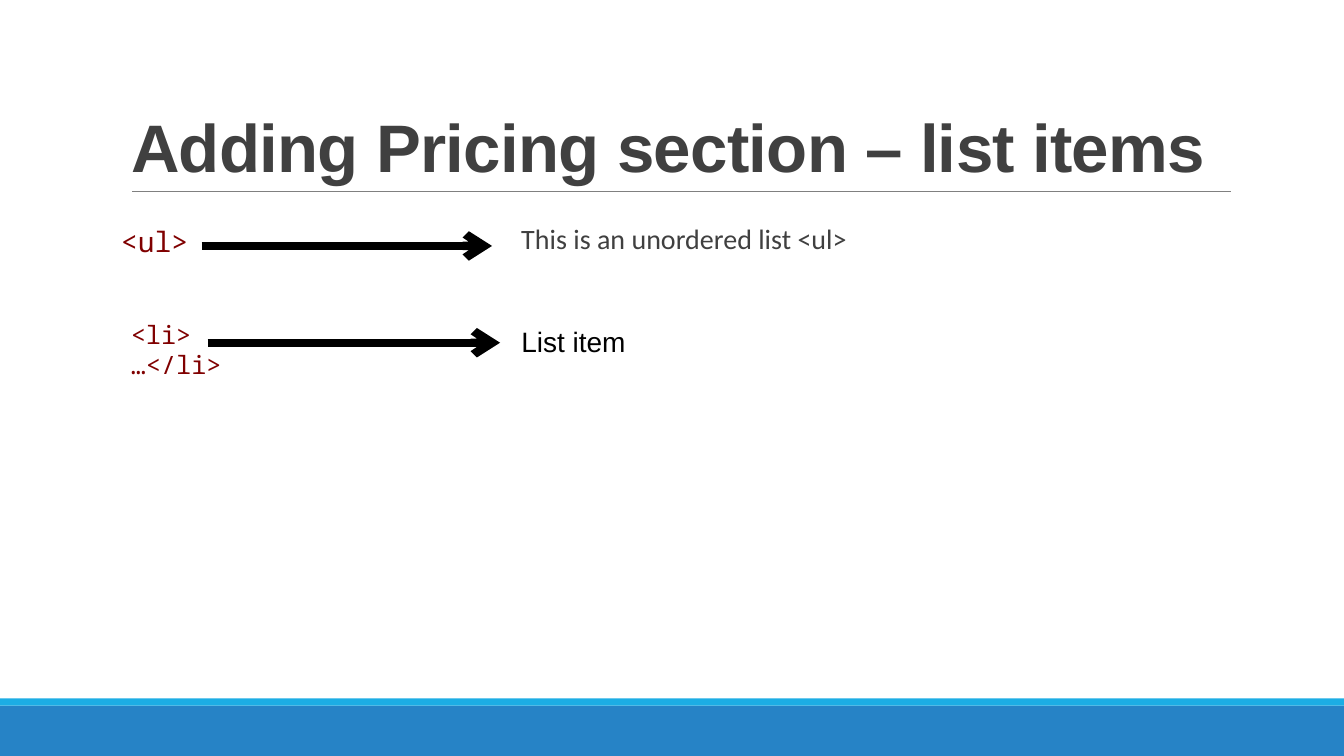
from lxml import etree
from pptx import Presentation
from pptx import util as u
from pptx.dml.color import RGBColor
from pptx.enum import shapes, text
from pptx.oxml.ns import qn

# Content
TITLE = "Adding Pricing section – list items"
MONO = "Noto Sans Mono"
TIGHT = (0, 0.05, 0, 0.05)
LOOSE = (0.1, 0.05, 0.1, 0.05)

BARS = [  # top, height, colour
    (7, 0.5, "2683C6"),
    (6.93, 0.07, "1CADE4"),
]
TEXTS = [  # lines, box, insets, size, font, colour, spaced
    (["<ul>"], (1.2, 2.22, 1.93, 0.55), TIGHT, 20, MONO, "800000", True),
    (["This is an unordered list <ul>"], (5.17, 2.19, 5.53, 0.74), TIGHT, 20, "Calibri", "404040", True),
    (["<li>", "…</li>"], (1.2, 3.12, 1.37, 0.71), LOOSE, 18, MONO, "800000", False),
    (["List item"], (5.17, 3.21, 6.59, 0.54), TIGHT, 20, "Arial", "000000", True),
]
LINES = [  # left, right, y, colour, width, arrowhead
    (1.31, 12.21, 1.9, "808080", 0.5, False),
    (2, 4.88, 2.44, "000000", 6, True),
    (2.06, 4.96, 3.4, "000000", 6, True),
]


def color(value):
    return RGBColor.from_string(value)


def add_run(paragraph, words, size, font, value, bold=False):
    run = paragraph.add_run()
    run.text = words
    run.font.size = u.Pt(size)
    run.font.name = font
    run.font.bold = bold
    run.font.color.rgb = color(value)
    return run


def add_line(slide, left, right, y, value, width, arrowhead):
    line = slide.shapes.add_connector(
        shapes.MSO_CONNECTOR.STRAIGHT, u.Inches(left), u.Inches(y), u.Inches(right), u.Inches(y))
    line.line.color.rgb = color(value)
    line.line.width = u.Pt(width)
    if arrowhead:
        etree.SubElement(line.line._get_or_add_ln(), qn("a:tailEnd"), type="arrow")
    etree.SubElement(line._element.spPr, qn("a:effectLst"))


def add_text(slide, lines, box, insets, size, font, value, spaced):
    frame = slide.shapes.add_textbox(*map(u.Inches, box)).text_frame
    frame.word_wrap = True
    (frame.margin_left, frame.margin_top,
     frame.margin_right, frame.margin_bottom) = map(u.Inches, insets)
    for index, words in enumerate(lines):
        paragraph = frame.add_paragraph() if index else frame.paragraphs[0]
        if spaced:
            paragraph.line_spacing = 0.9
            paragraph.space_before = u.Pt(12)
            paragraph.space_after = u.Pt(2)
        add_run(paragraph, words, size, font, value)


def main():
    presentation = Presentation()
    presentation.slide_width = u.Inches(13.33)
    presentation.slide_height = u.Inches(7.5)
    slide = presentation.slides.add_slide(presentation.slide_layouts[5])

    # Footer bars
    for top, height, value in BARS:
        bar = slide.shapes.add_shape(
            shapes.MSO_SHAPE.RECTANGLE, 0, u.Inches(top), presentation.slide_width, u.Inches(height))
        bar.shadow.inherit = False
        bar.fill.solid()
        bar.fill.fore_color.rgb = color(value)
        bar.line.fill.background()

    # Title
    title = slide.shapes.title
    title.left, title.top, title.width, title.height = map(u.Inches, (1.2, 0.31, 11, 1.59))
    frame = title.text_frame
    frame.auto_size = text.MSO_AUTO_SIZE.NONE
    frame.vertical_anchor = text.MSO_ANCHOR.BOTTOM
    paragraph = frame.paragraphs[0]
    paragraph.alignment = text.PP_ALIGN.LEFT
    paragraph.line_spacing = 0.85
    run = add_run(paragraph, TITLE, 48, "Arial", "404040", bold=True)
    run.font._element.set("spc", "-50")

    # Title rule and arrows, then tags with their explanations
    for line in LINES:
        add_line(slide, *line)
    for entry in TEXTS:
        add_text(slide, *entry)

    presentation.save("out.pptx")


if __name__ == "__main__":
    main()
